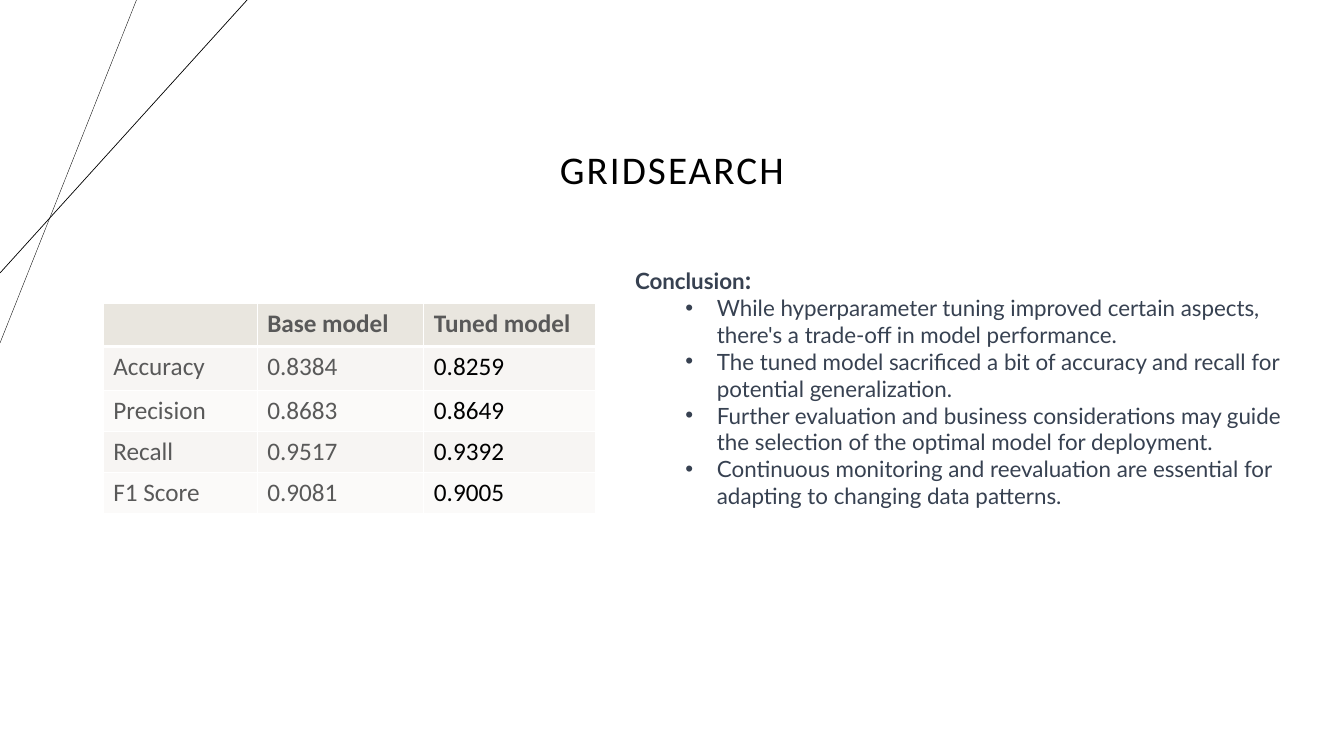
from lxml.etree import SubElement
from pptx import Presentation
from pptx.dml.color import RGBColor
from pptx.enum.shapes import MSO_CONNECTOR as Connector
from pptx.enum.text import MSO_ANCHOR as Anchor, MSO_AUTO_SIZE as AutoSize, PP_ALIGN as Align
from pptx.oxml.ns import qn
from pptx.util import Pt

BLACK = RGBColor(0x00, 0x00, 0x00)
WHITE = RGBColor(0xFF, 0xFF, 0xFF)
GRAY = RGBColor(0x59, 0x59, 0x59)
SLATE = RGBColor(0x37, 0x41, 0x51)
HEADER_FILL = RGBColor(0xE9, 0xE6, 0xDF)
BAND_FILLS = (RGBColor(0xF7, 0xF5, 0xF3), RGBColor(0xFB, 0xFA, 0xF9))

SCORES = (
    ("", "Base model", "Tuned model"),
    ("Accuracy", "0.8384", "0.8259"),
    ("Precision", "0.8683", "0.8649"),
    ("Recall", "0.9517", "0.9392"),
    ("F1 Score", "0.9081", "0.9005"),
)
COLUMN_WIDTHS = (110, 119, 122.5)
ROW_HEIGHTS = (30.75, 31.5, 27.5, 29, 27.5)
CONCLUSIONS = (
    "While hyperparameter tuning improved certain aspects, there's a trade-off in model performance.",
    "The tuned model sacrificed a bit of accuracy and recall for potential generalization.",
    "Further evaluation and business considerations may guide the selection of the optimal model for deployment.",
    "Continuous monitoring and reevaluation are essential for adapting to changing data patterns.",
)


class SlideBuilder:
    """Draws styled elements on one slide, with lengths in points."""

    def __init__(self, slide):
        self.slide = slide
        self.table_font = "Calibri"
        self.body_font = "Lato"

    def run(self, paragraph, text, font, size, color, bold=False):
        run = paragraph.add_run()
        run.text = text
        run.font.name = font
        run.font.size = Pt(size)
        run.font.bold = bold
        run.font.color.rgb = color
        return run

    def line(self, start, end, width):
        line = self.slide.shapes.add_connector(
            Connector.STRAIGHT, *(Pt(value) for value in start + end))
        line.line.color.rgb = BLACK
        line.line.width = Pt(width)
        SubElement(line._element.spPr, qn("a:effectLst"))

    def title(self, text, left, top, width, height):
        title = self.slide.shapes.title
        title.left, title.top = Pt(left), Pt(top)
        title.width, title.height = Pt(width), Pt(height)
        title.text_frame.vertical_anchor = Anchor.MIDDLE
        heading = title.text_frame.paragraphs[0]
        heading.alignment = Align.CENTER
        heading.line_spacing = 0.9
        run = self.run(heading, text, self.table_font, 28, BLACK)
        run.font._element.set("spc", "150")

    def border(self, cell, side, width):
        properties = cell._tc.get_or_add_tcPr()
        edge = SubElement(properties, qn(f"a:ln{side}"), w=str(Pt(width)))
        fill = SubElement(edge, qn("a:solidFill"))
        SubElement(fill, qn("a:srgbClr"), val=str(WHITE))

    def cell(self, cell, text, row, column):
        is_header = row == 0
        widths = {"L": 1, "R": 1, "T": 3 if row == 1 else 1, "B": 3 if is_header else 1}
        for side, width in widths.items():
            self.border(cell, side, width)
        cell.fill.solid()
        cell.fill.fore_color.rgb = HEADER_FILL if is_header else BAND_FILLS[(row - 1) % 2]
        if text:
            color = BLACK if column == 2 and not is_header else GRAY
            self.run(cell.text_frame.paragraphs[0], text, self.table_font, 18, color, is_header)

    def table(self, rows, left, top, widths, heights):
        table = self.slide.shapes.add_table(
            len(rows), len(widths), Pt(left), Pt(top), Pt(sum(widths)), Pt(sum(heights))).table
        for column, width in zip(table.columns, widths):
            column.width = Pt(width)
        for row, height in zip(table.rows, heights):
            row.height = Pt(height)
        for row, texts in enumerate(rows):
            for column, text in enumerate(texts):
                self.cell(table.cell(row, column), text, row, column)

    def bullet(self, paragraph, text):
        paragraph.level = 1
        properties = paragraph._p.get_or_add_pPr()
        properties.set("marL", str(Pt(58.5)))
        properties.set("indent", str(Pt(-22.5)))
        SubElement(properties, qn("a:buFont"), typeface="Arial")
        SubElement(properties, qn("a:buChar"), char="•")
        self.run(paragraph, text, self.body_font, 16, SLATE)

    def conclusion(self, heading, points, left, top, width, height):
        frame = self.slide.shapes.add_textbox(
            Pt(left), Pt(top), Pt(width), Pt(height)).text_frame
        frame.word_wrap = True
        frame.auto_size = AutoSize.SHAPE_TO_FIT_TEXT
        self.run(frame.paragraphs[0], heading, self.body_font, 16, SLATE, True)
        self.run(frame.paragraphs[0], ":", self.body_font, 18, SLATE, True)
        for point in points:
            self.bullet(frame.add_paragraph(), point)


def main():
    deck = Presentation()
    deck.slide_width, deck.slide_height = Pt(960), Pt(540)
    builder = SlideBuilder(deck.slides.add_slide(deck.slide_layouts[5]))
    builder.line((97.5, 0), (0, 245), 0.25)
    builder.line((176.5, 0), (0, 195), 0.5)
    builder.title("GRIDSEARCH", 148.5, 70.5, 663, 104.5)
    builder.table(SCORES, 73.75, 216.75, COLUMN_WIDTHS, ROW_HEIGHTS)
    builder.conclusion("Conclusion", CONCLUSIONS, 446.5, 185, 480, 184.5)
    deck.save("out.pptx")


if __name__ == "__main__":
    main()
